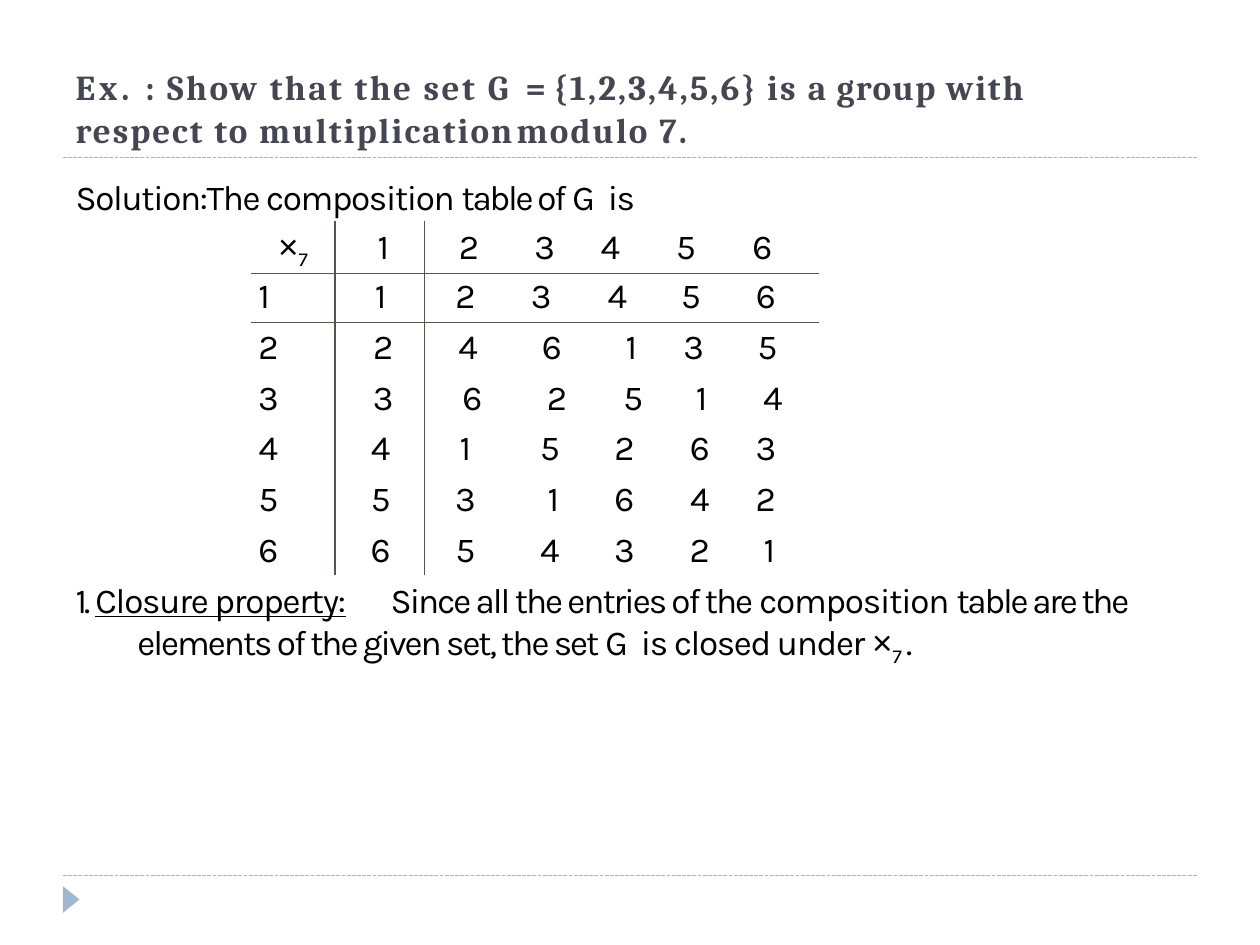
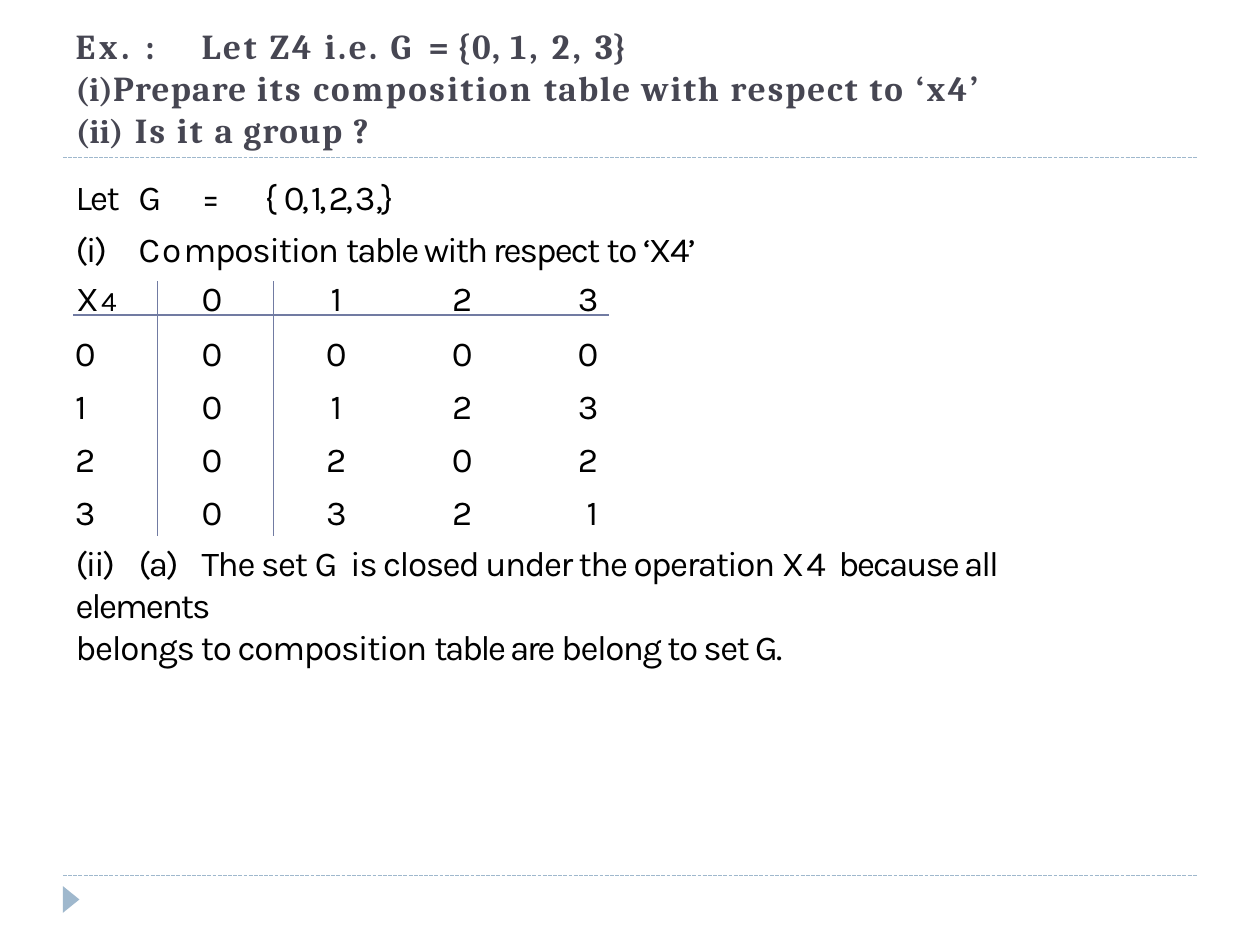
from lxml import etree
from pptx import Presentation
from pptx.dml.color import RGBColor
from pptx.enum import dml, shapes, text
from pptx.oxml import parse_xml
from pptx.oxml.ns import nsdecls, qn
from pptx.util import Pt

TITLE_COLOR = RGBColor(0x46, 0x46, 0x52)
TEXT_COLOR = RGBColor(0, 0, 0)
RULE_COLOR = RGBColor(0x9F, 0xB8, 0xCD)
BROWN = RGBColor(0x5B, 0x52, 0x48)
INDIGO = RGBColor(0x71, 0x7B, 0xA2)
TITLE_STYLE = dict(font="Cambria", color=TITLE_COLOR, bold=True)
SUBSCRIPT = dict(size=19.5, baseline=-21)


def write(frame, runs, font="Karla", size=20, color=TEXT_COLOR, bold=False,
          left=0, hanging=0, before=0, tabs=(), numbered=False,
          align=text.PP_ALIGN.LEFT, line_spacing=None):
    """Add a paragraph; each run is (text, letter spacing, optional overrides)."""
    paragraph = frame.paragraphs[0]
    if paragraph.runs:
        paragraph = frame.add_paragraph()
    paragraph.alignment = align
    paragraph.space_before = Pt(before)
    if line_spacing:
        paragraph.line_spacing = Pt(line_spacing)
    properties = paragraph._p.get_or_add_pPr()
    properties.set("marL", str(Pt(left)))
    properties.set("indent", str(Pt(-hanging)))
    if numbered:
        etree.SubElement(properties, qn("a:buSzPct"), val="95000")
        etree.SubElement(properties, qn("a:buAutoNum"), type="romanLcParenBoth")
    else:
        etree.SubElement(properties, qn("a:buNone"))
    if tabs:
        tab_list = etree.SubElement(properties, qn("a:tabLst"))
        for tab in tabs:
            etree.SubElement(tab_list, qn("a:tab"), pos=str(Pt(tab)), algn="l")
    for words, spacing, *overrides in runs:
        special = overrides[0] if overrides else {}
        run = paragraph.add_run()
        run.text = words
        run.font.name = special.get("font", font)
        run.font.size = Pt(special.get("size", size))
        run.font.color.rgb = color
        run.font.bold = bold
        run.font.underline = special.get("underline", False)
        run_properties = run._r.get_or_add_rPr()
        run_properties.set("spc", str(round(spacing * 100)))
        if "baseline" in special:
            run_properties.set("baseline", str(special["baseline"] * 1000))


def add_rule(slide, left, top, width, color, dashed=False):
    rule = slide.shapes.add_connector(
        shapes.MSO_CONNECTOR.STRAIGHT, Pt(left), Pt(top), Pt(left + width), Pt(top))
    rule.line.color.rgb = color
    rule.line.width = Pt(0.75)
    if dashed:
        rule.line.dash_style = dml.MSO_LINE.SQUARE_DOT
    etree.SubElement(rule._element.spPr, qn("a:effectLst"))


# Each table holds products modulo n. "shifts" moves a centred entry sideways;
# "verticals" and "horizontals" give the width of the ruled grid lines by index.
SLIDES = [
    dict(
        title_box=(42.5, 36.7, 576, 52),
        title=[
            dict(before=1.1, left=0.7, tabs=[275], runs=[
                ("Ex. ", 2.2), (": Show that the set ", 1.4), ("G ", 2.6), ("= ", 0.1),
                ("{1,2,3,4,5,6} is ", 1.2), ("a group ", 0.8), ("with respect ", 1.1),
                ("to multiplication\t", 1.2), ("modulo 7.", 1.2)]),
        ],
        lead=[
            dict(left=0.7, runs=[
                ("Solution:The composition ", -0.8), ("table of ", -1.3),
                ("G ", 1.3), ("is", -0.9)]),
        ],
        elements=range(1, 7), modulus=7,
        corner=[("×", -0.1, dict(font="Arial")), ("7", -0.1, SUBSCRIPT)],
        table_place=(143.3, 126),
        columns=[48.2, 51.1, 46.8, 43.9, 43.2, 41, 50.4],
        rows=[30.2, 28.1] + [28.9] * 5,
        tops=[4, 1.5] + [3] * 5, header_spacing=None,
        shifts=[
            [0, 2, 2, 0, -6, -5, -7],
            [-16.5, 0.5, 0, -2, -2, -2, -5],
            [-14, 2, 1.5, 4, 6, -0.5, -4],
            [-14, 2, 4, 7, 7, 4, -1],
            [-14, 0.5, 0, 3, 2, 3, -5],
            [-14, 0.5, 0, 5, 2, 3, -5],
            [-14, 0.5, 0, 3, 2, 3, -3],
        ],
        border=BROWN, verticals={1: 1, 2: 0.5}, horizontals={1: 1, 2: 0.5},
        closing_box=(40.3, 329.8, 608.4, 75),
        closing=[
            dict(before=1.1, left=2.9, tabs=[181.5], runs=[
                ("1. ", -1.8), ("Closure property:", -0.7, dict(underline=True)),
                ("\t", 0), ("Since all the entries of the ", -1.15),
                ("composition ", -0.7), ("table are the", -1.3)]),
            dict(left=38.2, runs=[
                ("elements of the given set, the set ", -1.15), ("G ", 1.3),
                ("is closed under ", -0.8), ("×", 0, dict(font="Arial")),
                ("7 ", -0.3, SUBSCRIPT), (".", -3)]),
        ],
    ),
    dict(
        title_box=(42.5, 13, 538.6, 76),
        title=[
            dict(before=1.1, left=0.7, tabs=[72.7], runs=[
                ("Ex. ", 2.2), (":\t", 1.2), ("Let Z4 i.e. ", 1.55), ("G ", 2.7),
                ("= ", 0.1), ("{0, ", 0.7), ("1, 2, ", 1.8), ("3}", -0.1)]),
            dict(left=20.9, hanging=20.2, tabs=[20.9], numbered=True, runs=[
                ("Prepare ", 0.7), ("its composition ", 1.4), ("table ", 0.9),
                ("with respect ", 1.1), ("to ‘x4’", 1.5)]),
            dict(left=34.6, hanging=33.8, tabs=[35.3], numbered=True, runs=[
                ("Is it ", 1.2), ("a group ", 0.8), ("?", 4.2)]),
        ],
        lead=[
            dict(left=0.7, tabs=[72.7, 144.7, 216.7], runs=[
                ("Let\t", -1), ("G\t=\t", 1.3), ("{ ", -0.7),
                ("0, 1, 2, 3", -1.8), (",}", -1)]),
            dict(left=0.7, before=6, tabs=[72.7], runs=[
                ("(i)\t", -1.1), ("Co", 1.25), ("mposition ", -0.7),
                ("table with respect ", -1.1), ("to ‘X4’", -0.8)]),
        ],
        elements=range(4), modulus=4,
        corner=[("X", 1.2), ("4", 1.2, dict(size=16))],
        table_place=(40.3, 160.6),
        columns=[49.7, 66.2, 72, 72, 46.8],
        rows=[26.6, 30.2, 30.2, 30.2, 28.8],
        tops=[0] + [4] * 4, header_spacing=22.6,
        shifts=[
            [-10, -2, 0, 0, 12.5],
            [-16.5, -2, 0, 0, 12.5],
            [-19, -2, 0, 0, 12.5],
            [-16.5, -2, 0, 0, 12.5],
            [-16.5, -2, 0, 0, 15],
        ],
        border=INDIGO, verticals={1: 0.5, 2: 0.5}, horizontals={},
        header_rule=(41.8, 180, 306),
        closing_box=(42.5, 308.2, 600.5, 75),
        closing=[
            dict(before=1, left=0.7, tabs=[33.8, 72.7], runs=[
                ("(ii)\t(a)\t", -1.2), ("The set ", -0.8), ("G ", 1.3),
                ("is closed under the operation ", -0.85), ("X4 ", 1.2),
                ("because all elements", -1.2)]),
            dict(left=0.7, runs=[
                ("belongs to composition ", -0.75), ("table are ", -1.3),
                ("belong to set G.", -0.9)]),
        ],
    ),
]

presentation = Presentation()
presentation.slide_width = Pt(720)
presentation.slide_height = Pt(540)
two_content = presentation.slide_layouts[3]

for content in SLIDES:
    slide = presentation.slides.add_slide(two_content)

    # Rules and corner marker
    for rule_top in (90, 500.4):
        add_rule(slide, 36, rule_top, 648, RULE_COLOR, dashed=True)
    builder = slide.shapes.build_freeform(Pt(36), Pt(506.4))
    builder.add_line_segments([(Pt(36), Pt(521.6)), (Pt(45.4), Pt(514))])
    marker = builder.convert_to_shape()
    marker.shadow.inherit = False
    marker.fill.solid()
    marker.fill.fore_color.rgb = RULE_COLOR
    marker.line.fill.background()

    # Title, lead-in and closing text
    blocks = [
        (content["title_box"], content["title"], TITLE_STYLE),
        ((42.5, 99, 576, 56), content["lead"], {}),
        (content["closing_box"], content["closing"], {}),
    ]
    for index, (box, paragraphs, style) in enumerate(blocks):
        placeholder = slide.placeholders[index]
        placeholder.left, placeholder.top, placeholder.width, placeholder.height = map(Pt, box)
        frame = placeholder.text_frame
        frame.word_wrap = True
        frame.auto_size = text.MSO_AUTO_SIZE.NONE
        frame.vertical_anchor = text.MSO_ANCHOR.TOP
        frame.margin_left = frame.margin_right = frame.margin_bottom = 0
        frame.margin_top = Pt(1)
        for paragraph_format in paragraphs:
            write(frame, **paragraph_format, **style)

    # Composition table
    columns, rows = content["columns"], content["rows"]
    elements = list(content["elements"])
    left, top = content["table_place"]
    graphic = slide.shapes.add_table(
        len(rows), len(columns), Pt(left), Pt(top), Pt(sum(columns)), Pt(sum(rows)))
    table = graphic.table
    table.first_row = table.horz_banding = False
    for column, width in zip(table.columns, columns):
        column.width = Pt(width)
    for row, height in zip(table.rows, rows):
        row.height = Pt(height)

    for row in range(len(rows)):
        for column in range(len(columns)):
            if row and column:
                value = elements[row - 1] * elements[column - 1] % content["modulus"]
            elif row or column:
                value = elements[max(row, column) - 1]
            runs = [(str(value), 0)] if row or column else content["corner"]
            cell = table.cell(row, column)
            shift = content["shifts"][row][column]
            cell.margin_left = Pt(max(2 * shift, 0))
            cell.margin_right = Pt(max(-2 * shift, 0))
            cell.margin_top = Pt(content["tops"][row])
            cell.margin_bottom = 0
            write(cell.text_frame, runs, align=text.PP_ALIGN.CENTER,
                  line_spacing=None if row else content["header_spacing"])

            verticals, horizontals = content["verticals"], content["horizontals"]
            edges = dict(L=verticals.get(column), R=verticals.get(column + 1),
                         T=horizontals.get(row), B=horizontals.get(row + 1))
            for side, width in edges.items():
                fill = "<a:noFill/>"
                if width:
                    fill = f'<a:solidFill><a:srgbClr val="{content["border"]}"/></a:solidFill>'
                cell._tc.get_or_add_tcPr().append(parse_xml(
                    f'<a:ln{side} {nsdecls("a")} w="{Pt(width or 0)}">{fill}</a:ln{side}>'))
            cell.fill.background()

    if "header_rule" in content:
        add_rule(slide, *content["header_rule"], INDIGO)

presentation.save("out.pptx")
